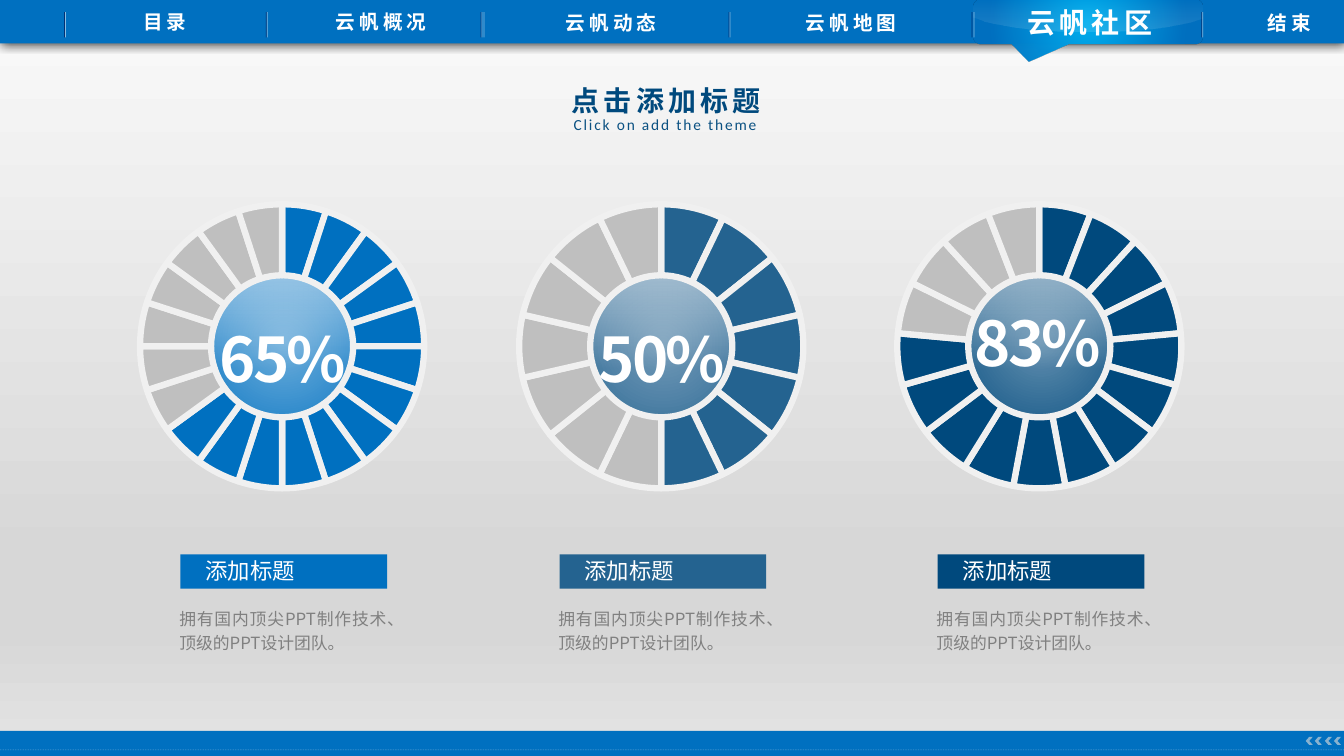
"""Build a slide with a tab bar and three ring charts."""
from itertools import chain
from lxml.etree import SubElement as Sub
from pptx import Presentation
from pptx.chart.data import CategoryChartData as Data
from pptx.dml.color import RGBColor as RGB
from pptx.enum.chart import XL_CHART_TYPE as Kind
from pptx.enum.dml import MSO_LINE as Dash
from pptx.enum.shapes import MSO_CONNECTOR as Link, MSO_SHAPE as Form
from pptx.enum.text import MSO_AUTO_SIZE as Fit, PP_ALIGN as Align
from pptx.oxml import parse_xml
from pptx.oxml.ns import nsdecls, qn
from pptx.util import Pt

PX = 9144
SANS, BOLD = "Noto Sans CJK SC", "Noto Sans CJK JP"
HUE = {"blue": "0070C0", "steel": "246390", "navy": "00497D", "gray": "BFBFBF",
       "edge": "F0F0F0", "white": "FFFFFF", "text": "808080", "pale": "D9D9D9",
       "dark": "002060", "sub": "0B5182", "cyan": "00B0F0", "black": "000000"}
GLOW = {"blue": "6EAEDB", "steel": "739BB8", "navy": "628FAF"}


def blend(part, stops, round=False):
    """Swap the solid fill of a part for a gradient."""
    old = part.find(qn("a:solidFill"))
    grad = parse_xml(f'<a:gradFill {nsdecls("a")} rotWithShape="1"><a:gsLst/></a:gradFill>')
    for spot, tone, clear in stops:
        stop = Sub(grad[0], qn("a:gs"), pos=str(spot * 1000))
        tint = Sub(stop, qn("a:srgbClr"), val=tone)
        if clear < 100:
            Sub(tint, qn("a:alpha"), val=str(clear * 1000))
    if round:
        way = Sub(grad, qn("a:path"), path="circle")
        Sub(way, qn("a:fillToRect"), l="50000", t="50000", r="50000", b="50000")
    else:
        Sub(grad, qn("a:lin"), ang="5400000", scaled="0")
    part.replace(old, grad)


def write(words, x, y, w, h, size, tone, face=SANS, bold=False, gap=0,
          align=Align.CENTER, wrap=False, lead=None):
    """Add a text box with a single run."""
    frame = slide.shapes.add_textbox(x * PX, y * PX, w * PX, h * PX).text_frame
    frame.word_wrap = wrap
    frame.auto_size = Fit.SHAPE_TO_FIT_TEXT
    if not wrap:
        frame.margin_left = frame.margin_right = 0
    para = frame.paragraphs[0]
    para.alignment = align
    para.line_spacing = lead
    run = para.add_run()
    run.text = words
    font = run.font
    font.size, font.bold, font.name = Pt(size), bold, face
    font.color.rgb = RGB.from_string(HUE[tone])
    props = run._r.get_or_add_rPr()
    Sub(props, qn("a:ea"), typeface=face)
    if gap:
        props.set("spc", str(int(gap * 100)))


deck = Presentation()
deck.slide_width, deck.slide_height = 1333 * PX, 750 * PX
slide = deck.slides.add_slide(deck.slide_layouts[6])
shapes = slide.shapes
slide.background.fill.solid()
blend(slide.element.find(".//" + qn("p:bgPr")),
      [(0, "FAFAFA", 100), (74, "D7D7D7", 100), (83, "D7D7D7", 100), (100, "E4E4E4", 100)])

dials = [(91, "65%", 117, 313, "blue", [5] * 20),
         (467, "50%", 117, 313, "steel", [0] * 6 + [7] * 14),
         (842, "83%", 115, 298, "navy", [6] * 17 + [None] * 3)]

blocks = [(Form.RECTANGLE, 0, 725, 1333, 25, "blue"),
          (Form.RECTANGLE, 0, 0, 1333, 43, "blue"),
          (Form.ROUNDED_RECTANGULAR_CALLOUT, 966, 0, 227, 44, "blue")]
blocks += [(Form.CHEVRON, x, 731, 7, 8, "pale") for x in (1295, 1304, 1314, 1323)]
for left, *rest, tone, vals in dials:
    blocks += [(Form.OVAL, left + 81, 230, 219, 219, tone),
               (Form.RECTANGLE, left + 88, 550, 205, 34, tone)]
for kind, x, y, w, h, tone in blocks:
    block = shapes.add_shape(kind, x * PX, y * PX, w * PX, h * PX)
    block.shadow.inherit = False
    block.line.fill.background()
    block.fill.solid()
    block.fill.fore_color.rgb = RGB.from_string(HUE[tone])
    props = block._element.spPr
    if kind == Form.CHEVRON:
        block.rotation = 180
        Sub(props.find(".//" + qn("a:srgbClr")), qn("a:alpha"), val="63000")
    elif kind == Form.OVAL:
        blend(props, [(0, GLOW[tone], 100), (84, HUE[tone], 100)], True)
    elif kind == Form.ROUNDED_RECTANGULAR_CALLOUT:
        for n, val in enumerate((-0.258, 0.897, 0.167)):
            block.adjustments[n] = val
        blend(props, [(0, HUE["cyan"], 100), (84, HUE["blue"], 97)], True)
    elif y == 0:
        cast = Sub(props.find(qn("a:effectLst")), qn("a:outerShdw"), blurRad=str(Pt(7)),
                   dist=str(Pt(0.5)), dir="5400000", algn="t", rotWithShape="0")
        Sub(Sub(cast, qn("a:srgbClr"), val=HUE["black"]), qn("a:alpha"), val="75000")

sheen = [[(13, 0)], [(213, 0)], [(221, 0), (227, 3), (227, 7)], [(227, 18)], [(217, 21)],
         [(195, 27), (157, 31), (114, 31)], [(71, 31), (33, 27), (11, 21)],
         [(0, 17)], [(0, 7)], [(0, 3), (6, 0), (13, 0)]]
lens = [[(105, 0)], [(154, 0), (196, 33), (210, 80)], [(196, 127), (154, 160), (105, 160)],
        [(56, 160), (14, 127), (0, 80)], [(14, 33), (56, 0), (105, 0)]]
shines = [(966, 0, sheen, (0, 0), (100, 13))]
shines += [(dial[0] + 85, 230, lens, (12, 60), (84, 0)) for dial in dials]
for left, top, curve, *stops in shines:
    dots = [(left + x, top + y) for x, y in chain(*curve)]
    pen = shapes.build_freeform(*dots[0], scale=PX)
    pen.add_line_segments(dots[1:])
    shine = pen.convert_to_shape()
    shine.shadow.inherit = False
    shine.line.fill.background()
    shine.fill.solid()
    props = shine._element.spPr
    blend(props, [(spot, HUE["white"], clear) for spot, clear in stops])
    nodes = iter(props.findall(".//" + qn("a:lnTo")))
    for part in curve[1:]:
        group = [next(nodes) for dot in part]
        if len(group) == 3:
            bend = parse_xml(f'<a:cubicBezTo {nsdecls("a")}/>')
            group[0].addprevious(bend)
            for node in group:
                bend.append(node[0])
                node.getparent().remove(node)

for left, rate, shift, top, tone, vals in dials:
    write(rate, left + shift, top, 145, 84, 44, "white", bold=True, gap=-2)
    data = Data()
    data.categories = [str(n) for n in range(1, 21)]
    data.add_series("Series 1", vals)
    chart = shapes.add_chart(Kind.DOUGHNUT, left * PX, 156 * PX, 380 * PX, 368 * PX, data).chart
    chart.has_legend = chart.has_title = False
    chart.font.size, chart.font.name = Pt(18), "Calibri"
    chart.font.color.rgb = RGB.from_string(HUE["black"])
    ring = chart.plots[0]
    ring.vary_by_categories = True
    for n, val in enumerate(vals):
        form = ring.series[0].points[n].format
        shade = "gray" if n > 12 else tone if val else "blue"
        form.fill.solid()
        form.fill.fore_color.rgb = RGB.from_string(HUE[shade])
        form.line.color.rgb = RGB.from_string(HUE["edge"])
        form.line.width = Pt(4.5)
    root = chart._chartSpace
    root.find(".//" + qn("c:holeSize")).set("val", "64")
    area = root.find(".//" + qn("c:plotArea"))
    for old in area.findall(qn("c:layout")):
        area.remove(old)
    plan = parse_xml(f'<c:layout {nsdecls("c")}><c:manualLayout/></c:layout>')
    for key, val in (("layoutTarget", "inner"), ("xMode", "edge"), ("yMode", "edge"),
                     ("x", "0.126"), ("y", "0.127"), ("w", "0.742"), ("h", "0.766")):
        Sub(plan[0], qn("c:" + key), val=val)
    area.insert(0, plan)
    root.find(qn("c:chart")).addnext(parse_xml(
        f'<c:spPr {nsdecls("c", "a")}><a:noFill/><a:ln><a:noFill/></a:ln></c:spPr>'))
    write("添加标题", left + 103, 548, 177, 37, 16, "white", align=Align.JUSTIFY, wrap=True)
    write("拥有国内顶尖PPT制作技术、顶级的PPT设计团队。", left + 77, 595, 226, 59, 12, "text",
          align=Align.JUSTIFY, wrap=True, lead=1.2)

rules = [(0, 744, 1333, 744, "white", 0.25, 39)]
rules += [(x, 12, x, 37, "dark", 0.5, 80) for x in (64, 264, 477, 723, 964, 1192)]
rules += [(x, 12, x, 37, "white", 0.5, 52) for x in (65, 265, 478, 480, 724, 966, 1193)]
for x, y, right, base, tone, thick, clear in rules:
    rule = shapes.add_connector(Link.STRAIGHT, x * PX, y * PX, right * PX, base * PX)
    rule.line.color.rgb = RGB.from_string(HUE[tone])
    rule.line.width = Pt(thick)
    if y == base:
        rule.line.dash_style = Dash.DASH
    props = rule._element.spPr
    Sub(props.find(".//" + qn("a:srgbClr")), qn("a:alpha"), val=str(clear * 1000))
    Sub(props, qn("a:effectLst"))

tabs = [("目录", 130, 5, 67, 34, 14), ("云帆概况", 321, 5, 114, 34, 14),
        ("云帆动态", 549, 6, 114, 34, 14), ("云帆地图", 787, 6, 114, 34, 14),
        ("云帆社区", 1007, 1, 148, 44, 20), ("结束", 1245, 6, 67, 34, 14)]
for tab in tabs:
    write(*tab, "white", BOLD, True, 3)
write("点击添加标题", 557, 78, 212, 44, 20, "navy", BOLD, True, 3, Align.LEFT, True)
write("Click on add the theme", 559, 109, 211, 29, 11, "sub", "Calibri", False, 1.3,
      Align.LEFT, True)

deck.save("out.pptx")
